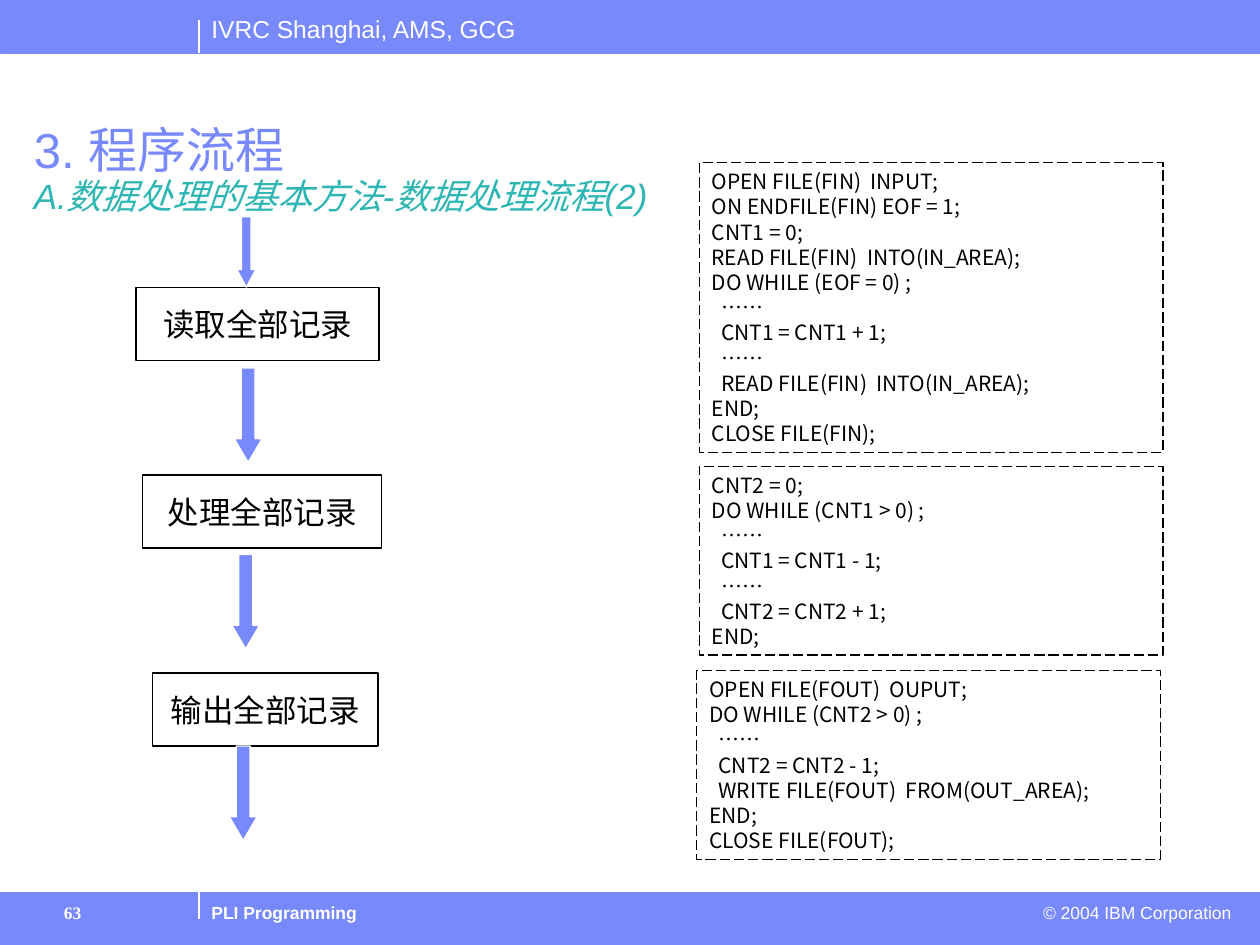
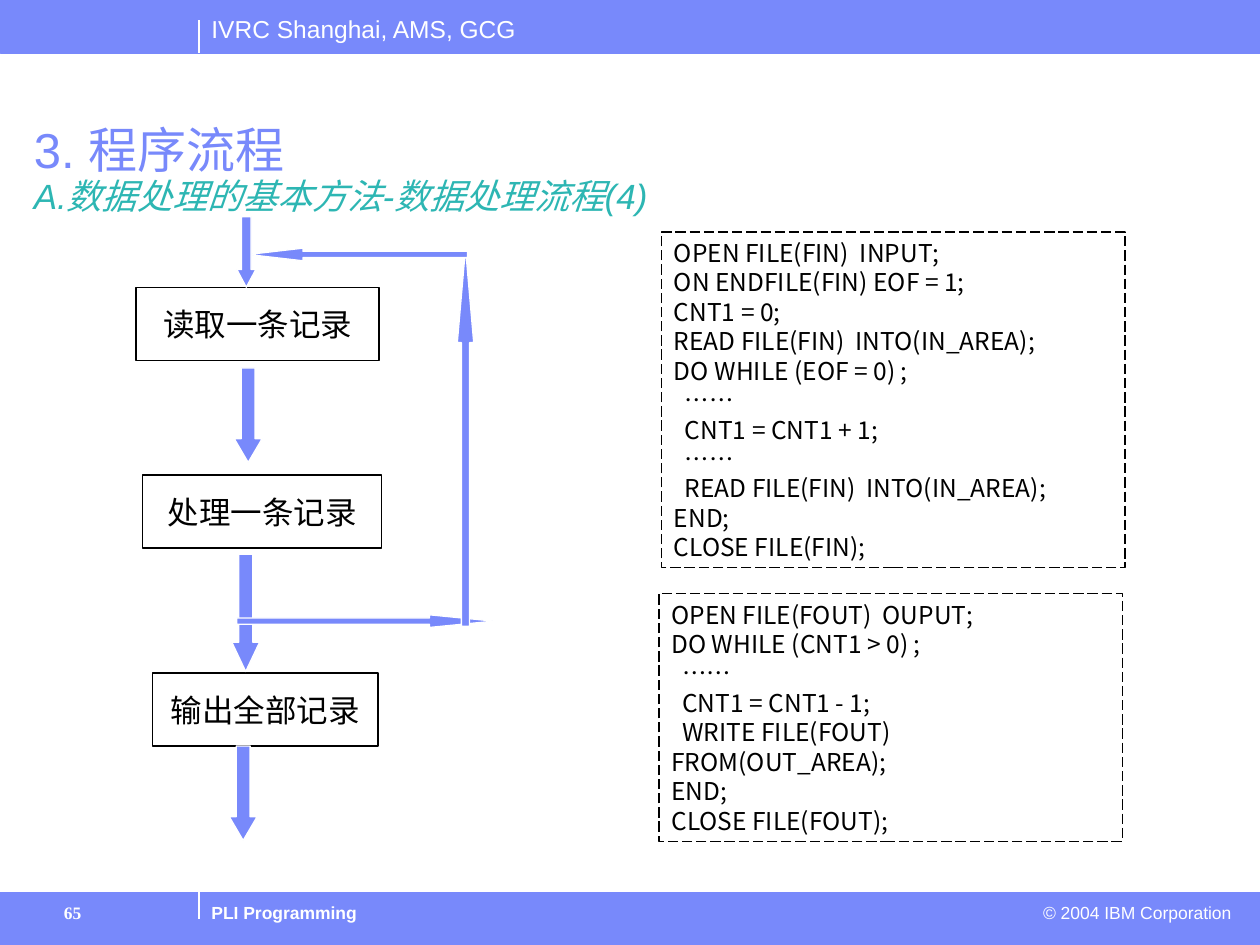
from lxml.etree import SubElement
from pptx import Presentation
from pptx.dml.color import RGBColor
from pptx.enum.dml import MSO_LINE
from pptx.enum.shapes import MSO_CONNECTOR, MSO_SHAPE as SHAPE
from pptx.enum.text import MSO_ANCHOR as ANCHOR, PP_ALIGN as ALIGN
from pptx.oxml.ns import qn
from pptx.util import Inches, Pt

SLIDE_WIDTH, SLIDE_HEIGHT = Inches(10), Inches(7.5)
COLUMN, ROW = SLIDE_WIDTH / 10, SLIDE_HEIGHT / 7.5
BAND_ROWS = 0.42
FOOTER_TOP = 7.5 - BAND_ROWS
DIVIDER = 1.58

PERIWINKLE = RGBColor(0x78, 0x89, 0xFB)
TEAL = RGBColor(0x2D, 0xB6, 0xB3)
BLACK = RGBColor(0, 0, 0)
WHITE = RGBColor(255, 255, 255)
SANS, CJK, SERIF = "Arial", "Noto Sans CJK SC", "Times New Roman"

READ_CODE = """OPEN FILE(FIN)  INPUT;
ON ENDFILE(FIN) EOF = 1;
CNT1 = 0;
READ FILE(FIN)  INTO(IN_AREA);
DO WHILE (EOF = 0) ;
  ……
  CNT1 = CNT1 + 1;
  ……
  READ FILE(FIN)  INTO(IN_AREA);
END;
CLOSE FILE(FIN);"""

PROCESS_CODE = """CNT2 = 0;
DO WHILE (CNT1 > 0) ;
  ……
  CNT1 = CNT1 - 1;
  ……
  CNT2 = CNT2 + 1;
END;"""


def write_code(counter):
    return f"""OPEN FILE(FOUT)  OUPUT;
DO WHILE ({counter} > 0) ;
  ……
  {counter} = {counter} - 1;
  WRITE FILE(FOUT)  FROM(OUT_AREA);
END;
CLOSE FILE(FOUT);"""


def on_grid(left, top, width, height):
    return [round(n * unit) for n, unit in
            zip((left, top, width, height), (COLUMN, ROW, COLUMN, ROW))]


def add_run(paragraph, text, size, color=BLACK, font=SANS, bold=False, italic=False):
    run = paragraph.add_run()
    run.text = text
    run.font.size = Pt(size)
    run.font.color.rgb = color
    run.font.name = font
    run.font.bold = bold
    run.font.italic = italic
    SubElement(run.font._element, qn("a:ea"), typeface=CJK)


def write(holder, text, align=ALIGN.LEFT, anchor=ANCHOR.TOP, wrap=True, **style):
    frame = holder.text_frame
    frame.word_wrap = wrap
    frame.vertical_anchor = anchor
    for index, line in enumerate(text.split("\n")):
        paragraph = frame.add_paragraph() if index else frame.paragraphs[0]
        paragraph.alignment = align
        add_run(paragraph, line, **style)


def add_label(slide, place, text, **style):
    write(slide.shapes.add_textbox(*on_grid(*place)), text, **style)


def add_block(slide, kind, place, fill=None, line=BLACK, weight=0.75):
    block = slide.shapes.add_shape(kind, *on_grid(*place))
    block.shadow.inherit = False
    if fill is None:
        block.fill.background()
    else:
        block.fill.solid()
        block.fill.fore_color.rgb = fill
    block.line.color.rgb = line
    block.line.width = Pt(weight)
    return block


def add_arrow(slide, kind, place):
    arrow = add_block(slide, kind, place, PERIWINKLE, WHITE)
    thickness, length = sorted(place[2:])
    arrow.adjustments[0] = 0.5
    arrow.adjustments[1] = length / 4 / thickness


def add_divider(slide, top, bottom):
    x, start, _, end = on_grid(DIVIDER, top, 0, bottom)
    divider = slide.shapes.add_connector(MSO_CONNECTOR.STRAIGHT, x, start, x, end)
    divider.line.color.rgb = WHITE
    divider.line.width = Pt(0.75)
    SubElement(divider._element.spPr, qn("a:effectLst"))


def add_frame(slide, number):
    for top in (FOOTER_TOP, 0):
        add_block(slide, SHAPE.RECTANGLE, (0, top, 10, BAND_ROWS),
                  PERIWINKLE, PERIWINKLE, 0.25)
    add_label(slide, (DIVIDER, 0.06, 3.2, 0.34), "IVRC Shanghai, AMS, GCG",
              size=14, color=WHITE)
    add_label(slide, (DIVIDER, 7.11, 4.5, 0.27), "PLI Programming",
              size=10, color=WHITE, bold=True)
    add_label(slide, (6.22, 7.11, 3.65, 0.27), "© 2004 IBM Corporation",
              size=10, color=WHITE, align=ALIGN.RIGHT)
    add_label(slide, (0.41, 7.11, 0.86, 0.27), number,
              size=10, color=WHITE, font=SERIF, bold=True)
    add_divider(slide, 0.16, BAND_ROWS)
    add_divider(slide, FOOTER_TOP, 7.29)


def add_title(slide, part):
    title = slide.shapes.add_textbox(*on_grid(0.17, 0.95, 9.02, 0.55))
    title.text_frame.word_wrap = True
    paragraph = title.text_frame.paragraphs[0]
    paragraph.line_spacing = 0.9
    add_run(paragraph, "3. 程序流程", 28, PERIWINKLE)
    paragraph.add_line_break()
    add_run(paragraph, f"A.数据处理的基本方法-数据处理流程({part})", 20, TEAL, italic=True)


def add_loop(slide):
    add_arrow(slide, SHAPE.RIGHT_ARROW, (1.88, 4.88, 2.04, 0.1))
    add_arrow(slide, SHAPE.UP_ARROW, (3.63, 1.97, 0.13, 3))
    add_arrow(slide, SHAPE.LEFT_ARROW, (1.97, 1.97, 1.74, 0.1))


def add_flow(slide, amount, output_gap, loops):
    steps = ((f"读取{amount}记录", 1.08, 2.28, 1.93),
             (f"处理{amount}记录", 1.13, 3.77, 1.9),
             ("输出全部记录", 1.21, 5.34, 1.79))
    for text, left, top, width in steps:
        step = add_block(slide, SHAPE.RECTANGLE, (left, top, width, 0.58))
        write(step, text, align=ALIGN.CENTER, anchor=ANCHOR.MIDDLE, wrap=False, size=18)
    for left, top, length in ((1.86, 2.92, 0.75), (1.84, 4.4, output_gap), (1.82, 5.92, 0.75)):
        add_arrow(slide, SHAPE.DOWN_ARROW, (left, top, 0.22, length))
    if loops:
        add_loop(slide)
    add_arrow(slide, SHAPE.DOWN_ARROW, (1.88, 1.72, 0.15, 0.56))


def add_code(slide, left, top, code, size, wrapped_lines=0):
    lines = len(code.split("\n")) + wrapped_lines
    listing = add_block(slide, SHAPE.RECTANGLE, (left, top, 3.68, 0.1 + lines * size / 60))
    listing.line.dash_style = MSO_LINE.LONG_DASH
    write(listing, code, size=size, font=CJK)


def add_page(deck, number, part, **flow):
    slide = deck.slides.add_slide(deck.slide_layouts[6])
    add_frame(slide, number)
    add_title(slide, part)
    add_flow(slide, **flow)
    return slide


def main():
    deck = Presentation()
    deck.slide_width, deck.slide_height = SLIDE_WIDTH, SLIDE_HEIGHT

    batch = add_page(deck, "63", 2, amount="全部", output_gap=0.75, loops=False)
    add_code(batch, 5.55, 1.29, READ_CODE, 12)
    add_code(batch, 5.55, 3.7, PROCESS_CODE, 12)
    add_code(batch, 5.53, 5.32, write_code("CNT2"), 12)

    single = add_page(deck, "65", 4, amount="一条", output_gap=0.93, loops=True)
    add_code(single, 5.25, 1.84, READ_CODE, 14)
    add_code(single, 5.23, 4.71, write_code("CNT1"), 14, wrapped_lines=1)

    deck.save("out.pptx")


if __name__ == "__main__":
    main()
